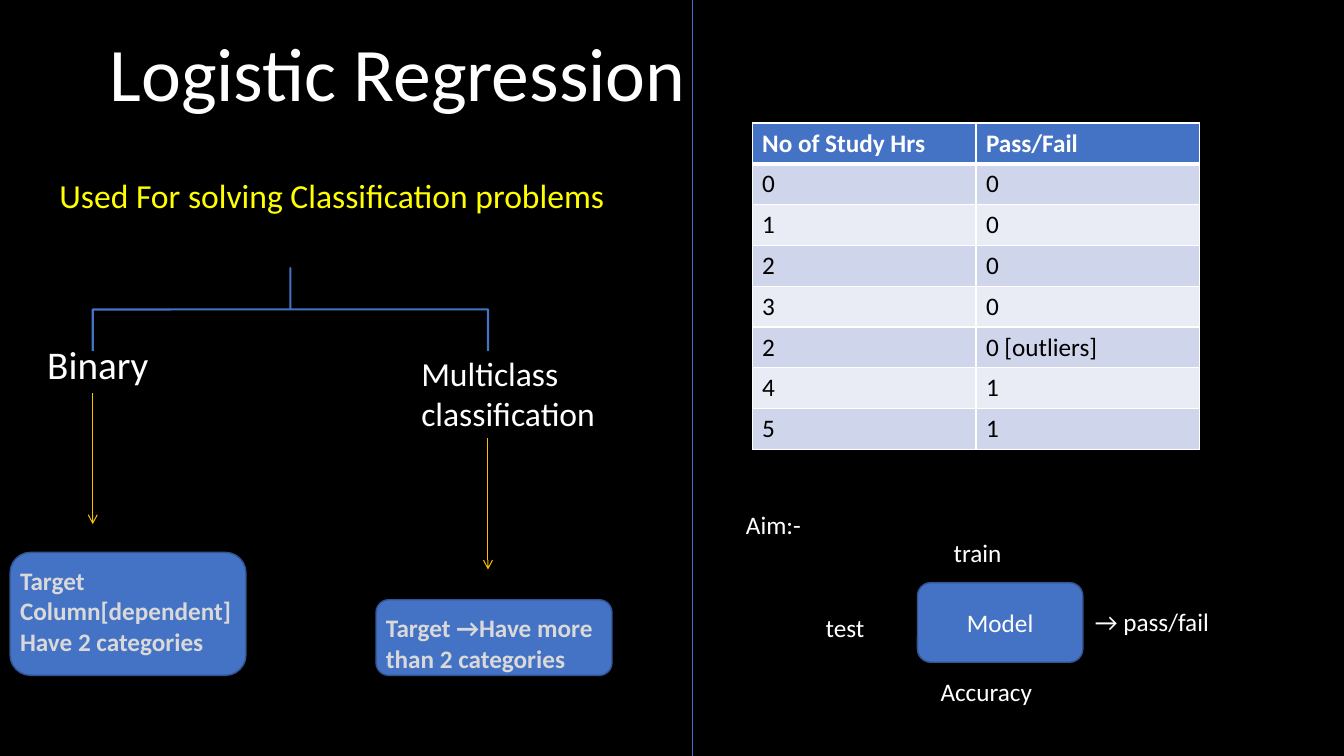
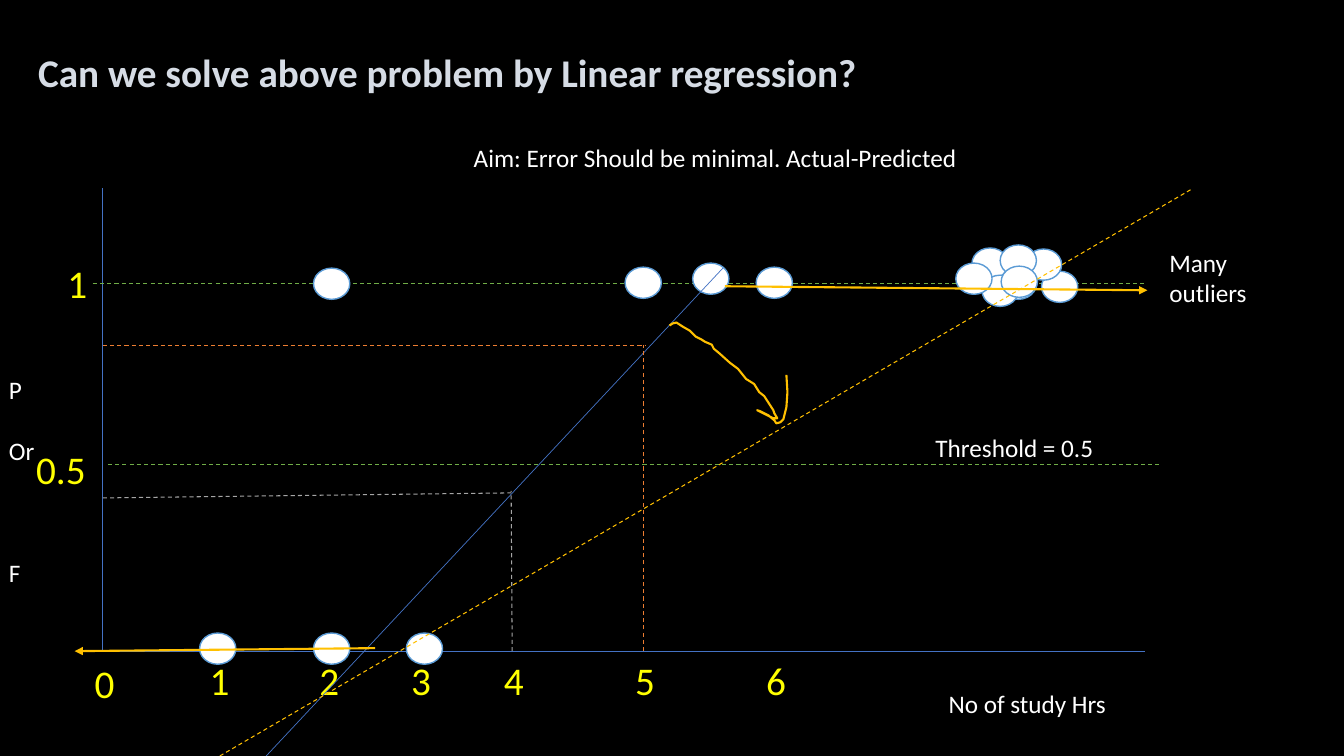
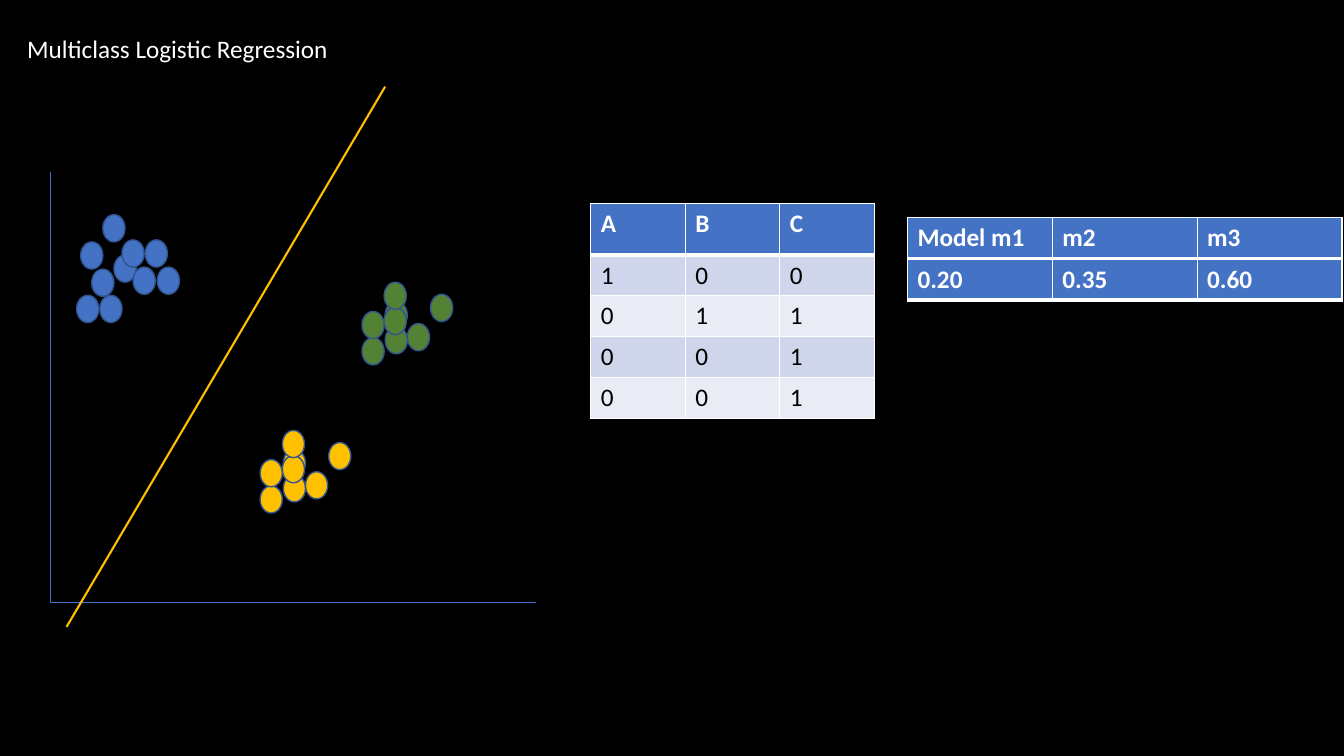
from lxml import etree
from pptx import Presentation
from pptx.dml.color import RGBColor
from pptx.enum.dml import MSO_LINE
from pptx.enum.shapes import MSO_CONNECTOR, MSO_SHAPE
from pptx.enum.text import MSO_ANCHOR, PP_ALIGN
from pptx.oxml.ns import qn
from pptx.util import Inches, Pt

# Shared style
FONT = "Calibri"
BLACK = RGBColor(0x00, 0x00, 0x00)
WHITE = RGBColor(0xFF, 0xFF, 0xFF)
YELLOW = RGBColor(0xFF, 0xFF, 0x00)
BLUE = RGBColor(0x44, 0x72, 0xC4)
NAVY = RGBColor(0x32, 0x54, 0x91)
SKY = RGBColor(0x5B, 0x9B, 0xD5)
GOLD = RGBColor(0xFF, 0xC0, 0x00)
ORANGE = RGBColor(0xED, 0x7D, 0x31)
GREEN = RGBColor(0x70, 0xAD, 0x47)
DARK_GREEN = RGBColor(0x54, 0x82, 0x35)
GRAY = RGBColor(0xA5, 0xA5, 0xA5)
LIGHT_GRAY = RGBColor(0xD9, 0xD9, 0xD9)
PALE_BLUE = RGBColor(0xD6, 0xDC, 0xE5)
BAND_DARK = RGBColor(0xCF, 0xD5, 0xEA)
BAND_LIGHT = RGBColor(0xE9, 0xEB, 0xF5)
ROW_H = 0.405

# Slide 1: classification overview (left, top, width, height, lines, size, colour, bold)
OVERVIEW_TEXTS = [
    (0.49, 1.69, 5.72, 0.5, ["Used For solving Classification problems"], 24, YELLOW, False),
    (0.37, 3.33, 2.21, 0.57, ["Binary"], 28, WHITE, False),
    (4.08, 3.45, 2.21, 0.91, ["Multiclass", "classification"], 24, WHITE, False),
    (0.1, 5.56, 2.48, 1.01, ["Target Column[dependent]", "Have 2 categories"], 18, LIGHT_GRAY, True),
    (3.73, 6.03, 2.48, 0.71, ["Target →Have more than 2 categories"], 18, LIGHT_GRAY, True),
    (7.3, 5, 4.61, 0.4, ["Aim:-"], 18, WHITE, False),
    (8.09, 6.03, 0.98, 0.4, ["test"], 18, WHITE, False),
    (9.36, 5.28, 1.39, 0.4, ["train"], 18, WHITE, False),
    (10.76, 5.97, 1.39, 0.4, ["→ pass/fail"], 18, WHITE, False),
    (9.23, 6.66, 1.39, 0.4, ["Accuracy"], 18, WHITE, False),
]
TARGET_BOXES = [(0.1, 5.48, 2.34, 1.22), (3.73, 5.95, 2.34, 0.75)]
BRANCH_ARROWS = [(0.92, 3.9), (4.84, 4.35)]
STUDY_ROWS = [
    ("No of Study Hrs", "Pass/Fail"),
    ("0", "0"), ("1", "0"), ("2", "0"), ("3", "0"),
    ("2", "0 [outliers]"), ("4", "1"), ("5", "1"),
]

# Slide 2: linear regression sketch
SKETCH_TEXTS = [
    (0.28, 0.43, 9.83, 0.57, ["Can we solve above problem by Linear regression?"], 28, PALE_BLUE, True),
    (9.31, 6.78, 2.86, 0.4, ["No of study Hrs"], 18, WHITE, False),
    (4.6, 1.36, 7.01, 0.4, ["Aim: Error Should be minimal. Actual-Predicted"], 18, WHITE, False),
    (9.18, 4.24, 2.43, 0.4, ["Threshold = 0.5"], 18, WHITE, False),
    (11.5, 2.4, 1.67, 0.71, ["Many", "outliers"], 18, WHITE, False),
]
TICKS = [  # label, left, top, width
    ("1", 0.57, 2.52, 0.36), ("0.5", 0.26, 4.37, 1.14), ("0", 0.84, 6.49, 0.36),
    ("1", 1.98, 6.46, 0.36), ("2", 3.07, 6.46, 0.36), ("3", 3.98, 6.46, 0.36),
    ("4", 4.9, 6.46, 0.36), ("5", 6.2, 6.46, 0.36), ("6", 7.5, 6.46, 0.36),
]
AXES = [((1.02, 1.87), (1.02, 6.46)), ((1.02, 6.46), (11.36, 6.46))]
FAIL_DOTS = [(x, 6.28) for x in (1.98, 3.11, 4.03)]
PASS_DOTS = [(6.87, 2.61), (3.11, 2.66), (6.2, 2.65), (7.5, 2.65)]
OUTLIER_DOTS = [
    (9.64, 2.46), (10.33, 2.69), (9.92, 2.66), (9.74, 2.73),
    (10.17, 2.47), (9.48, 2.61), (9.92, 2.43), (9.93, 2.64),
]
DASHED_LINES = [
    ((1.07, 4.61), (11.5, 4.61), GREEN),
    ((6.38, 6.46), (6.38, 3.42), ORANGE),
    ((1.02, 3.43), (6.41, 3.43), ORANGE),
    ((5.08, 6.46), (5.07, 4.87), GRAY),
    ((1.02, 4.94), (5.07, 4.89), GRAY),
    ((2.18, 7.5), (11.83, 1.87), GOLD),
]
RANGE_ARROWS = [((7.19, 2.84), (11.38, 2.88)), ((3.72, 6.43), (0.74, 6.46))]
SHIFT_STROKE = [
    (6.64, 3.23), (6.67, 3.21), (6.71, 3.2), (6.77, 3.24), (6.84, 3.28), (6.9, 3.34),
    (6.96, 3.37), (6.99, 3.39), (7.06, 3.42), (7.08, 3.46), (7.14, 3.51), (7.24, 3.6),
    (7.32, 3.66), (7.4, 3.76), (7.48, 3.81), (7.53, 3.89), (7.58, 3.93), (7.67, 4.07),
    (7.68, 4.1), (7.71, 4.15), (7.67, 4.15), (7.59, 4.11), (7.51, 4.07), (7.54, 4.08),
    (7.62, 4.12), (7.68, 4.17), (7.7, 4.2), (7.74, 4.19), (7.77, 4.16), (7.8, 4.04),
    (7.81, 3.89), (7.8, 3.72),
]

# Slide 3: multiclass clusters
BLUE_CLUSTER = [
    (0.8, 2.4), (1.02, 2.13), (1.13, 2.53), (0.76, 2.93), (0.91, 2.67),
    (1.21, 2.38), (1.32, 2.65), (0.99, 2.93), (1.44, 2.38), (1.56, 2.65),
]
CLUSTER_OFFSETS = [
    (0.23, 0.44), (0.45, 0.41), (0.23, 0.19), (0, 0.55),
    (0, 0.29), (0.68, 0.12), (0.22, 0.25), (0.22, 0),
]
CLUSTER_ORIGINS = [((2.58, 4.27), GOLD), ((3.59, 2.8), DARK_GREEN)]
CLASS_ROWS = [("A", "B", "C"), ("1", "0", "0"), ("0", "1", "1"), ("0", "0", "1"), ("0", "0", "1")]
MODEL_ROWS = [("Model m1", "m2", "m3"), ("0.20", "0.35", "0.60")]


def add_run(p, text, size, color, bold=False):
    r = p.add_run()
    r.text = text
    r.font.name, r.font.size, r.font.bold = FONT, Pt(size), bold
    r.font.color.rgb = color


def add_text(s, x, y, w, h, lines, size, color, bold=False, align=None, gaps=None):
    tf = s.shapes.add_textbox(*map(Inches, (x, y, w, h))).text_frame
    tf.word_wrap = True
    for i, line in enumerate(lines):
        p = tf.paragraphs[0] if i == 0 else tf.add_paragraph()
        p.alignment = align
        if gaps:
            p.space_before = Pt(gaps[i])
        add_run(p, line, size, color, bold)


def add_shape(s, kind, box, fill, line, width=1):
    sp = s.shapes.add_shape(kind, *map(Inches, box))
    sp.shadow.inherit = False
    if fill is None:
        sp.fill.background()
    else:
        sp.fill.solid()
        sp.fill.fore_color.rgb = fill
    sp.line.color.rgb = line
    sp.line.width = Pt(width)
    return sp


def add_dots(s, points, w, h, fill, line):
    for x, y in points:
        add_shape(s, MSO_SHAPE.OVAL, (x, y, w, h), fill, line)


def add_line(s, start, end, color, width=0.5, dash=False, head=None):
    cn = s.shapes.add_connector(MSO_CONNECTOR.STRAIGHT, *map(Inches, start + end))
    cn.line.color.rgb = color
    cn.line.width = Pt(width)
    if dash:
        cn.line.dash_style = MSO_LINE.DASH
    sp_pr = cn._element.spPr
    if head:
        etree.SubElement(sp_pr.find(qn("a:ln")), qn("a:tailEnd"), type=head)
    etree.SubElement(sp_pr, qn("a:effectLst"))


def set_borders(cell, top, bottom):
    tc_pr = cell._tc.get_or_add_tcPr()
    for i, (side, width) in enumerate((("L", 1), ("R", 1), ("T", top), ("B", bottom))):
        ln = etree.Element(qn("a:ln" + side), w=str(Pt(width)))
        fill = etree.SubElement(ln, qn("a:solidFill"))
        etree.SubElement(fill, qn("a:srgbClr"), val=str(WHITE))
        tc_pr.insert(i, ln)


def add_table(s, x, y, w, rows, first_h=ROW_H):
    heights = [first_h] + [ROW_H] * (len(rows) - 1)
    box = map(Inches, (x, y, w, sum(heights)))
    table = s.shapes.add_table(len(rows), len(rows[0]), *box).table
    for i, row in enumerate(rows):
        table.rows[i].height = Inches(heights[i])
        header = i == 0
        for j, text in enumerate(row):
            cell = table.cell(i, j)
            cell.fill.solid()
            cell.fill.fore_color.rgb = BLUE if header else BAND_DARK if i % 2 else BAND_LIGHT
            add_run(cell.text_frame.paragraphs[0], text, 18, WHITE if header else BLACK, header)
            set_borders(cell, 3 if i == 1 else 1, 3 if header else 1)


def build_overview(s):
    for box in TARGET_BOXES:
        add_shape(s, MSO_SHAPE.ROUNDED_RECTANGLE, box, BLUE, NAVY)
    add_text(s, 0.59, 0.21, 6.71, 1.01, ["Logistic Regression"], 54, WHITE, align=PP_ALIGN.CENTER)
    # Branching bracket and its arrows
    brace = add_shape(s, MSO_SHAPE.LEFT_BRACE, (2.47, 1.11, 0.82, 3.92), None, BLUE, 1.5)
    brace.rotation = 90
    brace.adjustments[0], brace.adjustments[1] = 0, 0.5
    for x, y in BRANCH_ARROWS:
        add_line(s, (x, y), (x, y + 1.3), GOLD, 0.75, head="arrow")
    add_line(s, (6.87, 0), (6.87, 7.5), BLUE)
    # Study data and model
    add_table(s, 7.46, 1.22, 4.44, STUDY_ROWS)
    model = add_shape(s, MSO_SHAPE.ROUNDED_RECTANGLE, (9.1, 5.78, 1.64, 0.79), BLUE, NAVY)
    tf = model.text_frame
    tf.vertical_anchor = MSO_ANCHOR.MIDDLE
    tf.paragraphs[0].alignment = PP_ALIGN.CENTER
    add_run(tf.paragraphs[0], "Model", 18, WHITE)
    for item in OVERVIEW_TEXTS:
        add_text(s, *item)


def build_sketch(s):
    # Axes and labels
    for start, end in AXES:
        add_line(s, start, end, BLUE)
    add_text(s, -0.01, 3.66, 0.57, 2.22, ["P", "Or", "F"], 18, WHITE, gaps=(0, 22, 66))
    for label, x, y, w in TICKS:
        add_text(s, x, y, w, 0.57, [label], 28, YELLOW)
    # Observations
    add_line(s, (0.92, 2.81), (11.36, 2.81), GREEN, 0.75, dash=True)
    add_dots(s, FAIL_DOTS + PASS_DOTS + OUTLIER_DOTS, 0.36, 0.31, WHITE, SKY)
    # Fitted lines and guides
    add_line(s, (2.64, 7.5), (7.17, 2.66), BLUE)
    for start, end, color in DASHED_LINES:
        add_line(s, start, end, color, 0.75, dash=True)
    for item in SKETCH_TEXTS:
        add_text(s, *item)
    # Hand-drawn shift arrow
    points = [(Inches(x), Inches(y)) for x, y in SHIFT_STROKE]
    fb = s.shapes.build_freeform(*points[0])
    fb.add_line_segments(points[1:], close=False)
    stroke = fb.convert_to_shape()
    stroke.shadow.inherit = False
    stroke.fill.background()
    stroke.line.color.rgb = GOLD
    stroke.line.width = Pt(1.5)
    for start, end in RANGE_ARROWS:
        add_line(s, start, end, GOLD, 1.5, head="triangle")


def build_multiclass(s):
    add_text(s, 0.17, 0.28, 7.32, 0.4, ["Multiclass Logistic Regression"], 18, WHITE)
    for start in ((0.5, 1.71), (5.32, 5.98)):
        add_line(s, start, (0.5, 5.98), BLUE)
    # Clusters and separating line
    add_dots(s, BLUE_CLUSTER, 0.22, 0.27, BLUE, NAVY)
    for (x, y), color in CLUSTER_ORIGINS:
        add_dots(s, [(x + dx, y + dy) for dx, dy in CLUSTER_OFFSETS], 0.22, 0.27, color, NAVY)
    add_line(s, (0.66, 6.22), (3.82, 0.86), GOLD, 1.5)
    # Class encoding and model scores
    add_table(s, 5.86, 2.02, 2.81, CLASS_ROWS, first_h=0.51)
    for i, row in enumerate(MODEL_ROWS):
        add_table(s, 9, 2.16 + i * 0.41, 4.31, [row])


def main():
    prs = Presentation()
    prs.slide_width, prs.slide_height = Inches(13.33), Inches(7.5)
    bg = prs.slide_master.background.fill
    bg.solid()
    bg.fore_color.rgb = BLACK
    for build in (build_overview, build_sketch, build_multiclass):
        build(prs.slides.add_slide(prs.slide_layouts[6]))
    prs.save("out.pptx")


if __name__ == "__main__":
    main()
